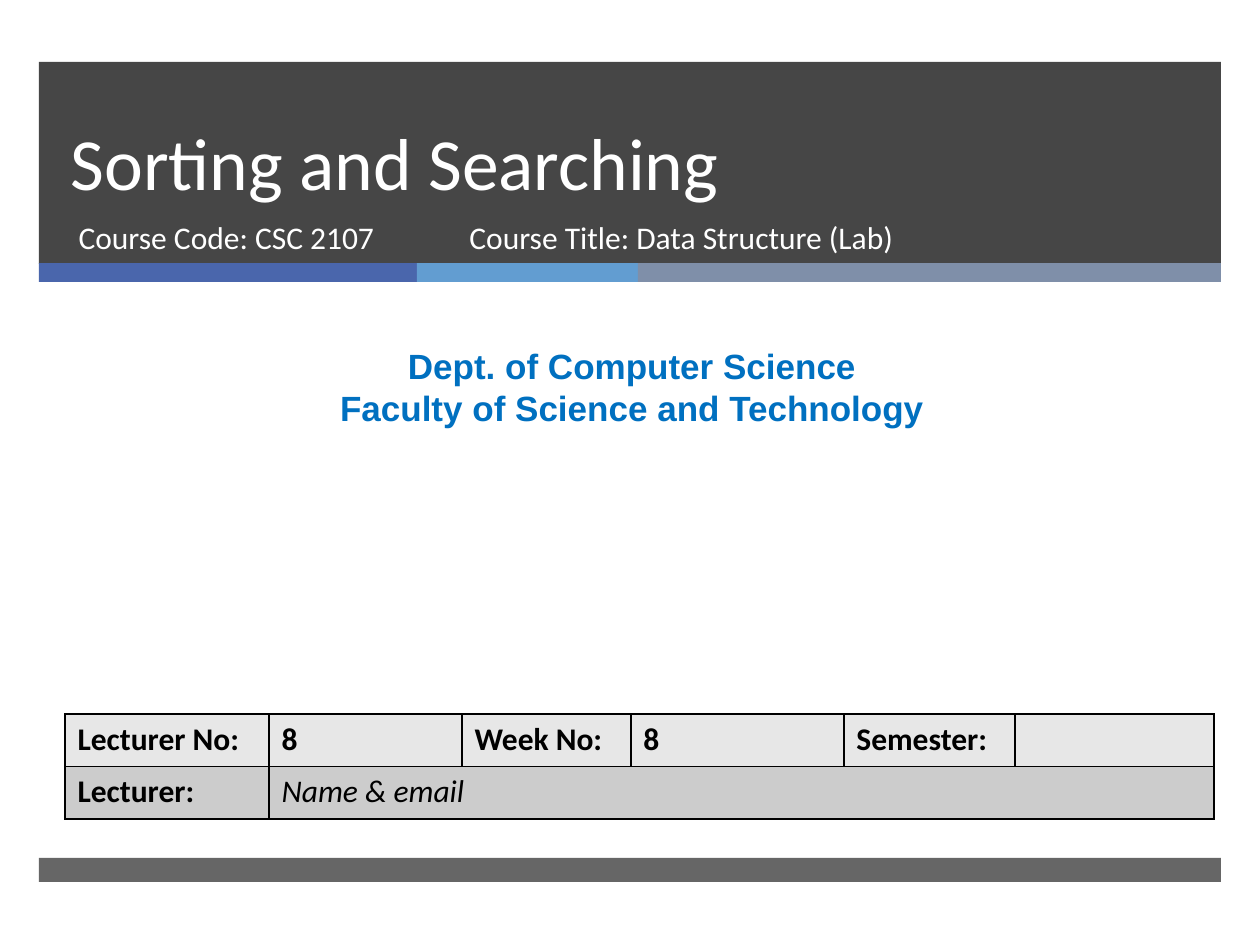
from lxml.etree import SubElement as Sub
from pptx import Presentation
from pptx.dml.color import RGBColor as RGB
from pptx.enum.shapes import MSO_SHAPE as Shape
from pptx.enum.text import MSO_ANCHOR as Anchor, MSO_AUTO_SIZE as Auto, PP_ALIGN as Align
from pptx.oxml.ns import qn
from pptx.util import Pt

SCALE = 914400 / 126
DARK = RGB(0x26, 0x26, 0x26)
NAVY = RGB(0x4A, 0x66, 0xAC)
SKY = RGB(0x62, 0x9D, 0xD1)
SLATE = RGB(0x7F, 0x8F, 0xA9)
BLUE = RGB(0x00, 0x70, 0xC0)
WHITE = RGB(0xFF, 0xFF, 0xFF)
BLACK = RGB(0x00, 0x00, 0x00)
PALE = RGB(0xE7, 0xE7, 0xE7)
GREY = RGB(0xCC, 0xCC, 0xCC)


def px(num):
    return round(num * SCALE)


def write(frame, text, size=18, font="Calibri", color=WHITE, bold=False,
          italic=False, align=Align.LEFT, anchor=Anchor.TOP, line=None):
    frame.word_wrap = True
    frame.vertical_anchor = anchor
    frame.text = text
    for para in frame.paragraphs:
        para.alignment = align
        para.space_before = Pt(0)
        if line:
            para.line_spacing = Pt(line)
        for run in para.runs:
            run.font.size = Pt(size)
            run.font.name = font
            run.font.bold = bold
            run.font.italic = italic
            run.font.color.rgb = color


def add_bar(slide, box, color, alpha=100):
    bar = slide.shapes.add_shape(Shape.RECTANGLE, *map(px, box))
    bar.shadow.inherit = False
    bar.line.fill.background()
    bar.fill.solid()
    bar.fill.fore_color.rgb = color
    if alpha < 100:
        tint = bar.element.spPr.find(qn("a:solidFill"))[0]
        Sub(tint, qn("a:alpha"), val=str(alpha * 1000))


def place(holder, box, text, **form):
    holder.left, holder.top, holder.width, holder.height = map(px, box)
    holder.element.getparent().append(holder.element)
    holder.text_frame.auto_size = Auto.NONE
    write(holder.text_frame, text, **form)


def add_text(slide, box, text, **form):
    area = slide.shapes.add_textbox(*map(px, box))
    write(area.text_frame, text, **form)


def add_head(slide, box):
    left, top, width, height = box
    add_bar(slide, (left, top, width, 202), DARK, 85)
    start = left
    for span, color in ((378, NAVY), (221, SKY), (583, SLATE)):
        add_bar(slide, (start, top + 201, span, height - 201), color)
        start += span
    title, code = slide.placeholders
    place(title, (left + 19, top, 1076, 150), "Sorting and Searching",
          size=42, anchor=Anchor.BOTTOM, line=46)
    place(code, (left + 27, top + 150, 384, 67), "Course Code: CSC 2107")
    add_text(slide, (left + 418, top + 150, 573, 67),
             "Course Title: Data Structure (Lab)")


def edge(cell):
    props = cell._tc.get_or_add_tcPr()
    for at, side in enumerate(("a:lnL", "a:lnR", "a:lnT", "a:lnB")):
        line = props.makeelement(qn(side), {"w": str(Pt(1))})
        fill = Sub(line, qn("a:solidFill"))
        Sub(fill, qn("a:srgbClr"), val=str(BLACK))
        props.insert(at, line)


def add_grid(slide, box):
    rows = (("Lecturer No:", "8", "Week No:", "8", "Semester:", ""),
            ("Lecturer:", "Name & email", "", "", "", ""))
    table = slide.shapes.add_table(2, 6, *map(px, box)).table
    for col, width in zip(table.columns, (204, 193, 169, 213, 171, 199)):
        col.width = px(width)
    for r, (row, color) in enumerate(zip(rows, (PALE, GREY))):
        for c, text in enumerate(row):
            cell = table.cell(r, c)
            cell.fill.solid()
            cell.fill.fore_color.rgb = color
            edge(cell)
            if text:
                name = (r, c) == (1, 1)
                write(cell.text_frame, text, color=BLACK,
                      bold=not name, italic=name)
    table.cell(1, 1).merge(table.cell(1, 5))


def main():
    deck = Presentation()
    deck.slide_width, deck.slide_height = px(1260), px(945)
    slide = deck.slides.add_slide(deck.slide_layouts[0])
    add_head(slide, (39, 62, 1182, 220))
    add_bar(slide, (39, 858, 1182, 24), DARK, 70)
    add_text(slide, (10, 338, 1244, 97),
             "Dept. of Computer Science\nFaculty of Science and Technology",
             size=20, font="Arial", color=BLUE, bold=True, align=Align.CENTER)
    add_grid(slide, (65, 714, 1149, 105))
    deck.save("out.pptx")


if __name__ == "__main__":
    main()
